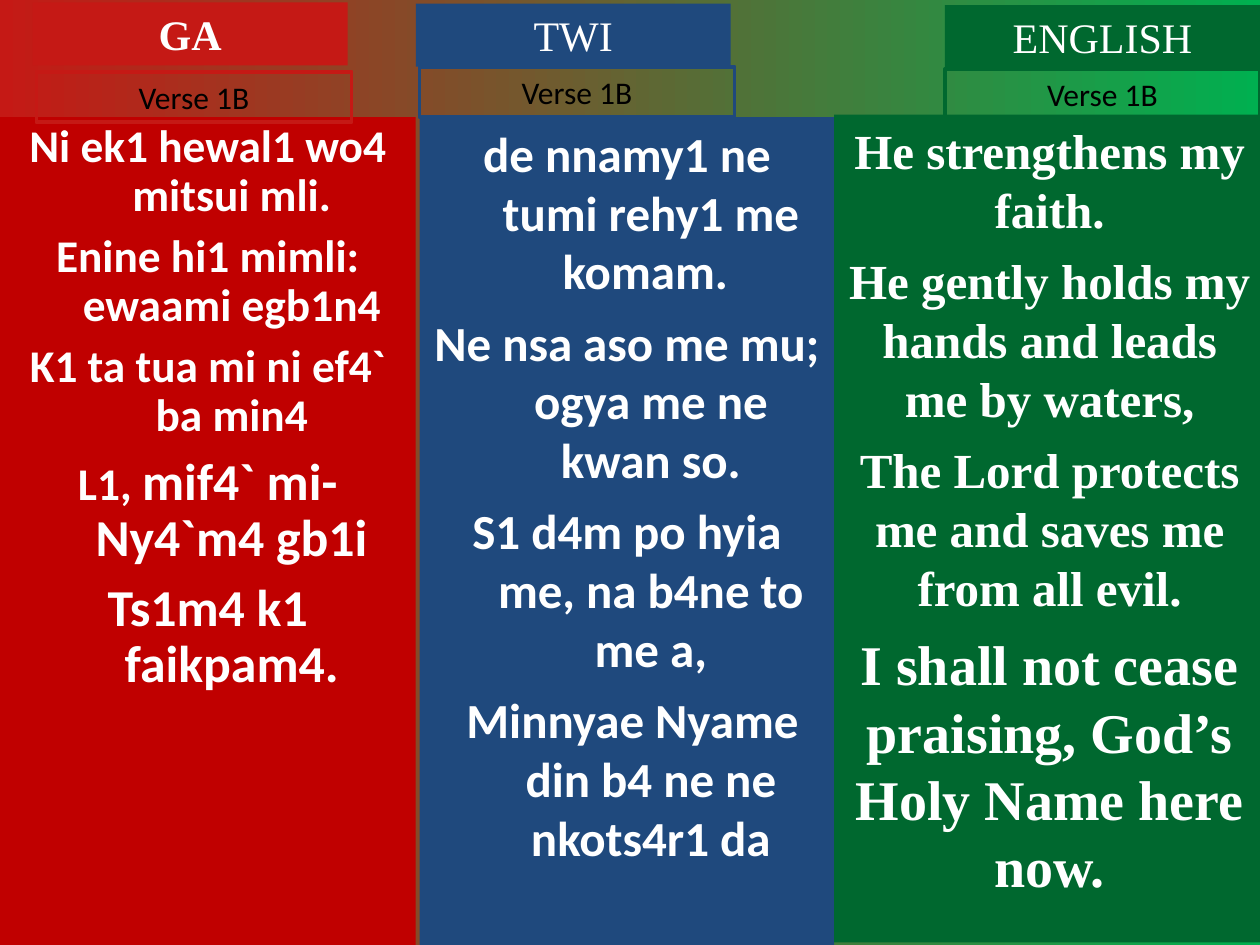
import pptx
import pptx.dml.color
import pptx.enum.shapes
import pptx.enum.text
import pptx.util

RGB = pptx.dml.color.RGBColor
WHITE, BLACK = RGB(255, 255, 255), RGB(0, 0, 0)
RED, DEEP_RED = RGB(0xC5, 0x19, 0x15), RGB(0xC0, 0, 0)
BLUE, GREEN = RGB(0x1F, 0x49, 0x7D), RGB(0, 0x68, 0x2F)
BRIGHT_GREEN = RGB(0, 0xB0, 0x50)
SANS, SERIF = "Calibri", "Times New Roman"
HANGING = 0.38

# Content: each verse line is (space before, [(text, size), ...])
LANGUAGES = [
    {"title": "GA", "title_bold": True, "accent": RED, "panel_fill": DEEP_RED,
     "font": SANS, "hanging": HANGING, "spacing": 0.9,
     "panel": (0, 0.93, 3.3), "title_at": (0.26, 0.02), "verse_at": (0.29, 0.57),
     "lines": [
         (7, [("Ni ek1 hewal1 wo4 mitsui mli.", 25.9)]),
         (7, [("Enine hi1 mimli: ewaami egb1n4", 25.9)]),
         (7, [("K1 ta tua mi ni ef4` ba min4", 25.9)]),
         (8, [("L1, ", 25.9), ("mif4` mi-Ny4`m4 gb1i", 29.6)]),
         (8, [("Ts1m4 k1 faikpam4.", 29.6)])]},
    {"title": "TWI", "title_bold": False, "accent": BLUE, "panel_fill": BLUE,
     "font": SANS, "hanging": HANGING, "spacing": 1.0,
     "panel": (3.33, 0.93, 3.29), "title_at": (3.3, 0.03), "verse_at": (3.33, 0.53),
     "lines": [
         (7, [("de nnamy1 ne tumi rehy1 me komam. ", 28)]),
         (7, [("Ne nsa aso me mu; ogya me ne kwan so.", 28)]),
         (7, [("S1 d4m po hyia me, na b4ne to me a,", 28)]),
         (7, [(" Minnyae Nyame din b4 ne ne nkots4r1 da", 28)])]},
    {"title": "ENGLISH", "title_bold": False, "accent": GREEN, "panel_fill": GREEN,
     "font": SERIF, "hanging": 0, "spacing": 1.0,
     "panel": (6.62, 0.91, 3.42), "title_at": (7.5, 0.04), "verse_at": (7.5, 0.55),
     "lines": [
         (7, [("He strengthens my faith.", 28)]),
         (7, [("He gently holds my hands and leads me by waters,", 28)]),
         (7, [("The Lord protects me and saves me from all evil.", 28)]),
         (8, [("I shall not cease praising, God’s Holy Name here now.", 32)])]},
]
VERSE = "Verse 1B"
PANEL_HEIGHT, LABEL_WIDTH, TITLE_HEIGHT, VERSE_HEIGHT = 6.57, 2.5, 0.5, 0.4

deck = pptx.Presentation()
deck.slide_width, deck.slide_height = pptx.util.Inches(10), pptx.util.Inches(7.5)
slide = deck.slides.add_slide(deck.slide_layouts[6])

# Background fades from red to green
backdrop = slide.background.fill
backdrop.gradient()
backdrop.gradient_angle = 0
for stop, color, position in zip(backdrop.gradient_stops, (RED, BRIGHT_GREEN), (0, 1)):
    stop.color.rgb = color
    stop.position = position


def add_box(left, top, width, height, lines, style, fill=None, outline=None,
            hanging=0, spacing=1.0, grow=False):
    box = slide.shapes.add_shape(
        pptx.enum.shapes.MSO_SHAPE.RECTANGLE,
        *(pptx.util.Inches(v) for v in (left, top, width, height)))
    box.shadow.inherit = False
    if fill is None:
        box.fill.background()
    else:
        box.fill.solid()
        box.fill.fore_color.rgb = fill
    if outline is None:
        box.line.fill.background()
    else:
        box.line.color.rgb = outline
        box.line.width = pptx.util.Pt(2.25)

    frame = box.text_frame
    sizing = pptx.enum.text.MSO_AUTO_SIZE
    frame_format = {"word_wrap": True,
                    "vertical_anchor": pptx.enum.text.MSO_ANCHOR.TOP,
                    "auto_size": sizing.SHAPE_TO_FIT_TEXT if grow else sizing.NONE}
    for name, value in frame_format.items():
        setattr(frame, name, value)

    for number, (before, runs) in enumerate(lines):
        paragraph = frame.add_paragraph() if number else frame.paragraphs[0]
        paragraph.alignment = pptx.enum.text.PP_ALIGN.CENTER
        paragraph.line_spacing = spacing
        if number:
            paragraph.space_before = pptx.util.Pt(before)
        if hanging:
            properties = paragraph._p.get_or_add_pPr()
            properties.set("marL", str(pptx.util.Inches(hanging)))
            properties.set("indent", str(-pptx.util.Inches(hanging)))
        for text, size in runs:
            run = paragraph.add_run()
            run.text = text
            run.font.color.rgb = style["color"]
            run_format = {"name": style["name"], "bold": style["bold"],
                          "size": pptx.util.Pt(size)}
            for name, value in run_format.items():
                setattr(run.font, name, value)


for language in LANGUAGES:
    # Lyrics panel
    add_box(*language["panel"], PANEL_HEIGHT, language["lines"],
            {"name": language["font"], "bold": True, "color": WHITE},
            fill=language["panel_fill"], hanging=language["hanging"],
            spacing=language["spacing"])
    # Language title
    add_box(*language["title_at"], LABEL_WIDTH, TITLE_HEIGHT,
            [(0, [(language["title"], 24)])],
            {"name": SERIF, "bold": language["title_bold"], "color": WHITE},
            fill=language["accent"], grow=True)
    # Verse label
    add_box(*language["verse_at"], LABEL_WIDTH, VERSE_HEIGHT, [(0, [(VERSE, 18)])],
            {"name": SANS, "bold": False, "color": BLACK},
            outline=language["accent"], grow=True)

deck.save("out.pptx")
